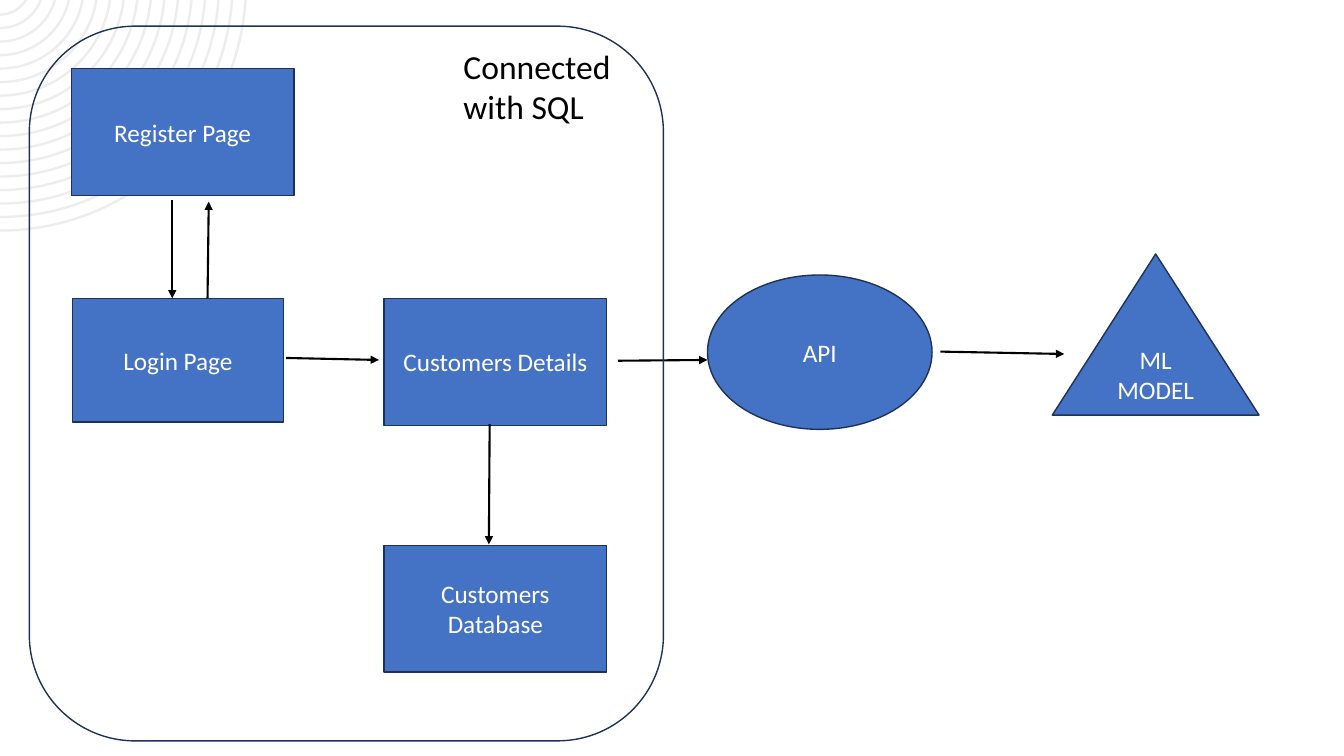
"""Draws the flow from the login pages through the API to the model."""
from dataclasses import dataclass
from math import asin, cos, pi, sin, tan

from lxml import etree
from pptx import Presentation
from pptx import util as u
from pptx.dml.color import RGBColor
from pptx.enum import shapes, text
from pptx.oxml import ns

COLOURS = {"node": "4472C4", "outline": "1E3256", "arrow": "000000",
           "label": "000000", "node_text": "FFFFFF", "rings": "EDEDED"}
FONT = "Calibri"
KIND = shapes.MSO_SHAPE


@dataclass(frozen=True)
class Node:
    """A labelled shape, in centimetres."""
    label: str
    left: float
    top: float
    width: float = 5.61
    height: float = 3.2
    kind: shapes.MSO_SHAPE = KIND.RECTANGLE


@dataclass(frozen=True)
class Arrow:
    """An arrow between two points, in centimetres."""
    x1: float
    y1: float
    x2: float
    y2: float


NODES = (
    Node("Login Page", 1.83, 7.52, 5.31, 3.12),
    Node("Register Page", 1.8, 1.73),
    Node("Customers Details", 9.68, 7.52),
    Node("Customers Database", 9.68, 13.74),
    Node("API", 17.83, 6.93, 5.66, 3.89, KIND.OVAL),
    Node("ML MODEL", 26.52, 6.4, 5.21, 4.06, KIND.ISOSCELES_TRIANGLE),
)
ARROWS = (
    Arrow(4.34, 5.05, 4.34, 7.52),
    Arrow(5.23, 7.52, 5.26, 5.08),
    Arrow(7.21, 9.02, 9.55, 9.07),
    Arrow(12.34, 10.69, 12.32, 13.72),
    Arrow(15.57, 9.09, 17.83, 9.07),
    Arrow(23.7, 8.86, 26.82, 8.92),
)
DATABASE_SCOPE = Node("", 0.74, 0.66, 15.98, 18.01, KIND.ROUNDED_RECTANGLE)


def colour(name: str) -> RGBColor:
    """Return a named colour."""
    return RGBColor.from_string(COLOURS[name])


def write(box, words: str, *, size: float, ink: str, align=text.PP_ALIGN.LEFT,
          anchor=text.MSO_ANCHOR.TOP) -> None:
    """Put formatted text into a shape or text box."""
    frame = box.text_frame
    frame.word_wrap = True
    frame.vertical_anchor = anchor
    para = frame.paragraphs[0]
    para.alignment = align
    span = para.add_run()
    span.text = words
    span.font.name = FONT
    span.font.size = u.Pt(size)
    span.font.color.rgb = colour(ink)


def arc(radius: float, centre_y: float) -> list[tuple[int, int]]:
    """Return the Bezier points of an arc from the top edge to the left edge."""
    start = asin(-centre_y / radius)
    reach = radius * 4 / 3 * tan((pi / 2 - start) / 4)
    x, y = radius * cos(start), centre_y + radius * sin(start)
    bottom = centre_y + radius
    points = ((x, y), (x - reach * sin(start), y + reach * cos(start)),
              (reach, bottom), (0, bottom))
    return [(u.Cm(across), u.Cm(down)) for across, down in points]


def bend(segments: list) -> None:
    """Merge three straight segments into one cubic curve."""
    curve, *others = segments
    curve.tag = ns.qn("a:cubicBezTo")
    for segment in others:
        curve.append(segment[0])
        segment.getparent().remove(segment)


def draw_rings(page, count: int = 17, radius: float = 6.23, gap: float = 0.34,
               thickness: float = 0.06, centre_y: float = -0.39) -> None:
    """Draw the concentric corner rings as one outline."""
    builder = None
    for index in range(count):
        outer = radius - index * gap
        points = arc(outer, centre_y) + arc(outer - thickness, centre_y)[::-1]
        if builder is None:
            builder = page.shapes.build_freeform(*points[0], scale=1.0)
        else:
            builder.move_to(*points[0])
        builder.add_line_segments(points[1:], close=True)
    rings = builder.convert_to_shape()
    segments = list(rings.element.iter(ns.qn("a:lnTo")))
    for first in range(0, len(segments), 7):
        bend(segments[first:first + 3])
        bend(segments[first + 4:first + 7])
    rings.shadow.inherit = False
    rings.fill.solid()
    rings.fill.fore_color.rgb = colour("rings")
    rings.line.fill.background()


def draw_node(page, node: Node, *, filled: bool = True) -> None:
    """Draw an outlined shape with its centred label."""
    box = page.shapes.add_shape(node.kind, u.Cm(node.left), u.Cm(node.top),
                                u.Cm(node.width), u.Cm(node.height))
    box.shadow.inherit = False
    box.line.color.rgb = colour("outline")
    box.line.width = u.Pt(1)
    if filled:
        box.fill.solid()
        box.fill.fore_color.rgb = colour("node")
    else:
        box.fill.background()
    if node.label:
        write(box, node.label, size=18, ink="node_text",
              align=text.PP_ALIGN.CENTER, anchor=text.MSO_ANCHOR.MIDDLE)


def draw_arrow(page, arrow: Arrow) -> None:
    """Draw a straight line with a triangular head at its end."""
    line = page.shapes.add_connector(shapes.MSO_CONNECTOR.STRAIGHT,
                                     u.Cm(arrow.x1), u.Cm(arrow.y1),
                                     u.Cm(arrow.x2), u.Cm(arrow.y2))
    line.line.color.rgb = colour("arrow")
    line.line.width = u.Pt(1.5)
    properties = line.element.spPr
    etree.SubElement(properties.find(ns.qn("a:ln")), ns.qn("a:tailEnd"), type="triangle")
    etree.SubElement(properties, ns.qn("a:effectLst"))


def main() -> None:
    """Build and save the slide."""
    deck = Presentation()
    deck.slide_width, deck.slide_height = u.Cm(33.87), u.Cm(19.05)
    page = deck.slides.add_slide(deck.slide_layouts.get_by_name("Blank"))
    draw_rings(page)
    for node in NODES:
        draw_node(page, node)
    for arrow in ARROWS:
        draw_arrow(page, arrow)
    draw_node(page, DATABASE_SCOPE, filled=False)
    label = page.shapes.add_textbox(u.Cm(11.43), u.Cm(1.02), u.Cm(5.05), u.Cm(2.31))
    write(label, "Connected with SQL", size=24, ink="label")
    deck.save("out.pptx")


if __name__ == "__main__":
    main()
